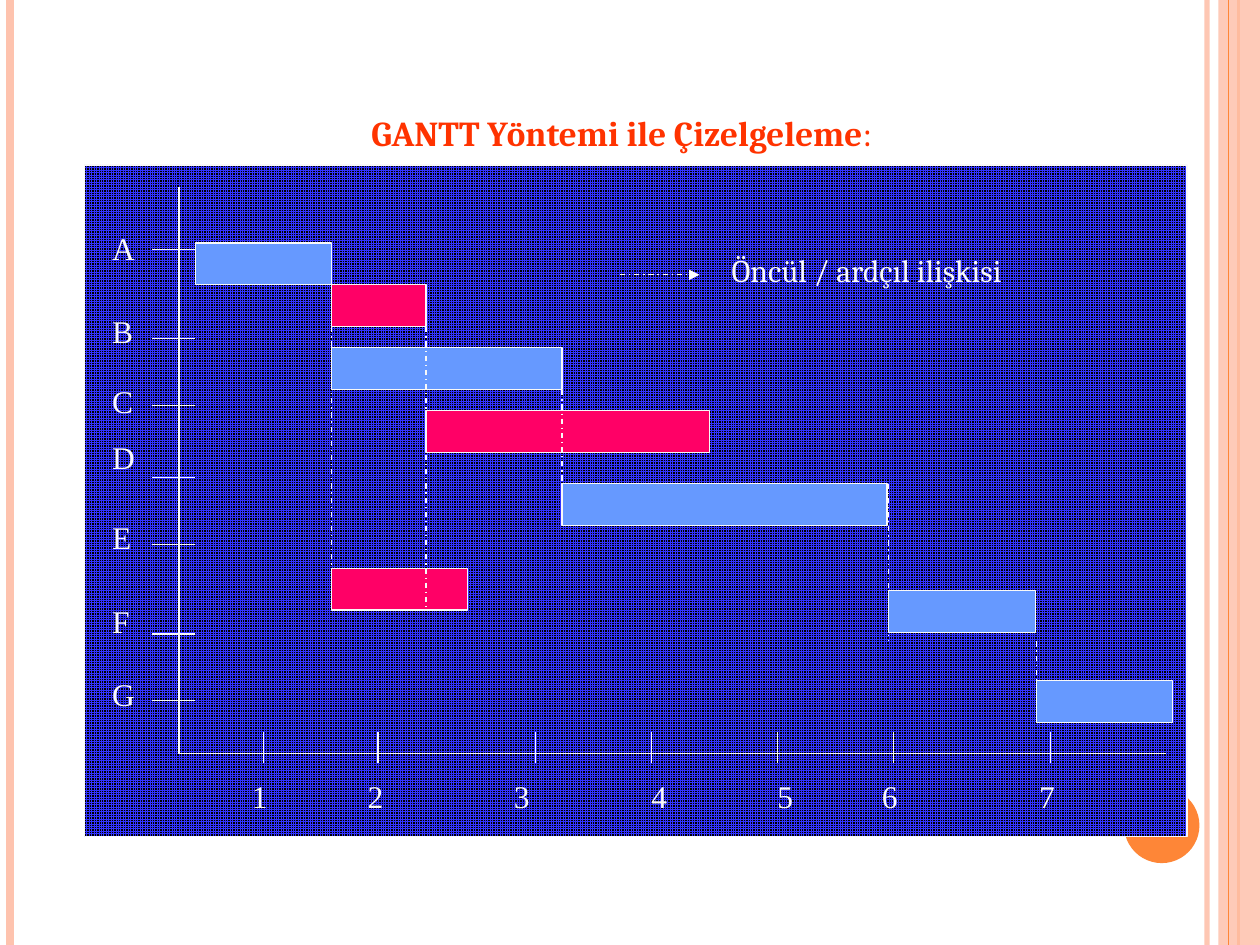
from dataclasses import dataclass

from lxml import etree
from pptx import Presentation
from pptx import util as u
from pptx.dml.color import RGBColor
from pptx.enum import dml, shapes, text
from pptx.oxml.ns import qn


@dataclass(frozen=True)
class Theme:
    peach: str = "FEC3AE"
    orange: str = "FE8637"
    title: str = "FF3300"
    panel: str = "3333FF"
    black: str = "000000"
    ink: str = "F8F8F8"
    white: str = "FFFFFF"
    blue: str = "6699FF"
    red: str = "FF0066"
    title_size: float = 20
    label_size: float = 18
    hairline: float = 0.75
    heading_font: str = "Cambria"
    label_font: str = "Times New Roman"


class SlideBuilder:
    def __init__(self, slide, theme):
        self.slide = slide
        self.theme = theme

    def set_alpha(self, element, percent):
        color = next(element.iter(qn("a:srgbClr")))
        etree.SubElement(color, qn("a:alpha"), val=str(percent * 1000))

    def shape(self, kind, left, top, width, height, fill, border=None):
        shape = self.slide.shapes.add_shape(
            kind, u.Cm(left), u.Cm(top), u.Cm(width), u.Cm(height))
        shape.shadow.inherit = False
        shape.fill.solid()
        shape.fill.fore_color.rgb = RGBColor.from_string(fill)
        if border:
            shape.line.color.rgb = RGBColor.from_string(border)
            shape.line.width = u.Pt(self.theme.hairline)
        else:
            shape.line.fill.background()
        return shape

    def bar(self, left, top, width, fill):
        self.shape(shapes.MSO_SHAPE.RECTANGLE, left, top, width, 0.84,
                   fill, self.theme.ink)

    def line(self, x1, y1, x2, y2, color=None, width=None, dashed=False, arrow=False):
        line = self.slide.shapes.add_connector(
            shapes.MSO_CONNECTOR.STRAIGHT, u.Cm(x1), u.Cm(y1), u.Cm(x2), u.Cm(y2))
        line.line.color.rgb = RGBColor.from_string(color or self.theme.ink)
        line.line.width = u.Pt(width or self.theme.hairline)
        if dashed:
            line.line.dash_style = dml.MSO_LINE.DASH_DOT
        properties = line._element.spPr
        if arrow:
            etree.SubElement(properties.find(qn("a:ln")), qn("a:tailEnd"), type="triangle")
        etree.SubElement(properties, qn("a:effectLst"))
        return line

    def text(self, content, left, top, width, height=1.02, font=None, size=None, color=None):
        box = self.slide.shapes.add_textbox(
            u.Cm(left), u.Cm(top), u.Cm(width), u.Cm(height))
        frame = box.text_frame
        frame.word_wrap = False
        frame.auto_size = text.MSO_AUTO_SIZE.SHAPE_TO_FIT_TEXT
        paragraph = frame.paragraphs[0]
        paragraph.add_run().text = content
        paragraph.font.name = font or self.theme.label_font
        paragraph.font.size = u.Pt(size or self.theme.label_size)
        paragraph.font.color.rgb = RGBColor.from_string(color or self.theme.ink)
        return paragraph


theme = Theme()
presentation = Presentation()
presentation.slide_width, presentation.slide_height = u.Cm(25.4), u.Cm(19.05)
slide = presentation.slides.add_slide(presentation.slide_layouts[6])
builder = SlideBuilder(slide, theme)
RECTANGLE = shapes.MSO_SHAPE.RECTANGLE

# Side stripes and corner disc
stripe = builder.line(24.33, 0, 24.33, 19.05, theme.peach, 3)
builder.set_alpha(stripe._element, 93)
builder.line(0.2, 0, 0.2, 19.05, theme.peach, 4.5)
builder.line(24.97, 0, 24.97, 19.05, theme.orange, 1.5)
band = builder.shape(RECTANGLE, 24.56, 0, 0.84, 19.05, theme.peach)
builder.set_alpha(band._element, 87)
builder.line(24.77, 0, 24.77, 19.05, theme.orange)
builder.shape(shapes.MSO_SHAPE.OVAL, 22.66, 15.88, 1.52, 1.52, theme.orange)

# Title
title = builder.text("GANTT Yöntemi ile Çizelgeleme", 6.86, 2.13, 11.35, 1.09,
                     theme.heading_font, theme.title_size, theme.title)
title.alignment = text.PP_ALIGN.CENTER
title.runs[0].font.bold = True
title.add_run().text = ":"

# Chart panel
panel = builder.shape(RECTANGLE, 1.7, 3.33, 22.23, 13.54, theme.panel, theme.ink)
panel.fill.patterned()
panel.fill.pattern = dml.MSO_PATTERN.SMALL_GRID
panel.fill.fore_color.rgb = RGBColor.from_string(theme.panel)
panel.fill.back_color.rgb = RGBColor.from_string(theme.black)

# Axes
axis_x, axis_y = 3.61, 15.19
builder.line(axis_x, 3.76, axis_x, axis_y)
builder.line(axis_x, axis_y, 23.5, axis_y)

# Time scale: tick position, label left
time_scale = [(5.31, 4.83), (7.62, 7.16), (10.8, 10.11), (13.13, 12.88),
              (15.67, 15.42), (18.01, 17.53), (21.18, 20.7)]
for number, (tick, label_left) in enumerate(time_scale, 1):
    builder.line(tick, 14.76, tick, 15.39)
    builder.text(str(number), label_left, 15.54, 0.84)

# Activities: tick position, label top
activities = {"A": (5.03, 4.5), "B": (6.83, 6.17), "C": (8.18, 7.57), "D": (9.63, 8.71),
              "E": (10.97, 10.31), "F": (12.78, 12.01), "G": (14.12, 13.49)}
for name, (tick, label_top) in activities.items():
    builder.line(3.07, tick, 3.94, tick)
    builder.text(name, 2.01, label_top, 0.95)

# Finish times shared by the bars and the dependency lines
end_a, end_b, end_c, end_e, end_f = 6.68, 8.59, 11.33, 17.91, 20.9

# Activity bars
for left, top, width, fill in [
    (3.94, 4.9, 2.74, theme.blue),
    (end_a, 5.74, 1.91, theme.red),
    (end_a, 7.01, 4.65, theme.blue),
    (end_c, 9.75, 6.55, theme.blue),
    (end_a, 11.46, 2.74, theme.red),
    (end_e, 11.91, 2.97, theme.blue),
    (end_f, 13.72, 2.74, theme.blue),
]:
    builder.bar(left, top, width, fill)

# Dependencies, with the bar that lies over the second one
for x in (end_a, end_b):
    builder.line(x, 5.74, x, 12.29, dashed=True)
builder.bar(end_b, 8.28, 5.72, theme.red)
for x, top, bottom, color in [
    (end_c, 7.01, 10.62, theme.ink),
    (end_e, 9.75, 12.93, theme.ink),
    (end_f, 12.93, 14.33, theme.white),
]:
    builder.line(x, top, x, bottom, color, dashed=True)

# Legend
builder.text("Öncül / ardçıl ilişkisi", 14.5, 4.93, 6.1, font=theme.heading_font)
builder.line(12.5, 5.54, 14.1, 5.54, theme.white, dashed=True, arrow=True)

presentation.save("out.pptx")
